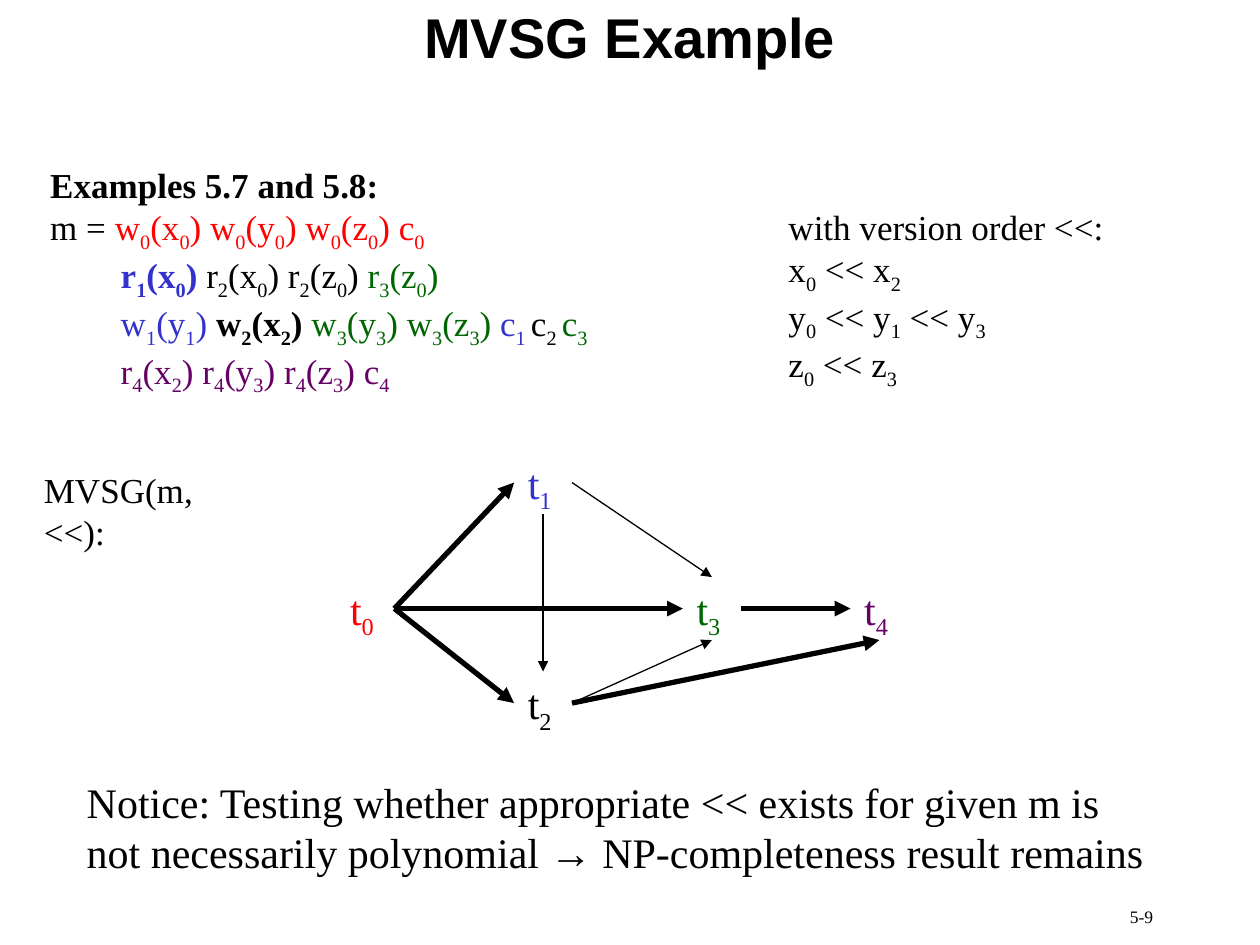
from lxml import etree
from pptx import Presentation
from pptx.dml.color import RGBColor
from pptx.enum import shapes, text
from pptx.oxml import ns
from pptx.util import Inches, Pt

BLACK = RGBColor(0x00, 0x00, 0x00)
WHITE = RGBColor(0xFF, 0xFF, 0xFF)
RED = RGBColor(0xFF, 0x00, 0x00)
BLUE = RGBColor(0x33, 0x33, 0xCC)
GREEN = RGBColor(0x00, 0x66, 0x00)
PURPLE = RGBColor(0x66, 0x00, 0x66)
SERIF, SANS = "Times New Roman", "Arial"

# Each line is a list of (text, colour, bold); "_" lowers the next character
SCHEDULE_HEAD = [
    [("Examples 5.7 and 5.8:", BLACK, True)],
    [("m = ", BLACK, False), ("w_0(x_0) w_0(y_0) w_0(z_0) c_0", RED, False)],
]
SCHEDULE_STEPS = [
    [("r_1(x_0)", BLUE, True), (" r_2(x_0) r_2(z_0) ", BLACK, False),
     ("r_3(z_0)", GREEN, False)],
    [("w_1(y_1) ", BLUE, False), ("w_2(x_2) ", BLACK, True),
     ("w_3(y_3) w_3(z_3) ", GREEN, False), ("c_1_ ", BLUE, False),
     ("c_2_ ", BLACK, False), ("c_3", GREEN, False)],
    [("r_4(x_2) r_4(y_3) r_4(z_3) c_4", PURPLE, False)],
]
VERSION_ORDER = ["with version order <<:", "x_0 << x_2",
                 "y_0 << y_1 << y_3", "z_0 << z_3"]

# Node: (left, top, colour), relative to the graph
NODES = {
    "t_0": (0, 1, RED),
    "t_1": (1.41, 0, BLUE),
    "t_2": (1.41, 1.75, BLACK),
    "t_3": (2.75, 1, GREEN),
    "t_4": (4.08, 1, PURPLE),
}
# Side of a node where an edge docks, relative to the node
DOCKS = {"left": (-0.01, 0.25), "right": (0.45, 0.25),
         "top": (0.22, 0), "bottom": (0.22, 0.5)}
THICK, THIN = 3, 0.75
EDGES = [
    ("t_0", "right", "t_1", "left", THICK),
    ("t_0", "right", "t_2", "left", THICK),
    ("t_0", "right", "t_3", "left", THICK),
    ("t_2", "right", "t_3", "bottom", THIN),
    ("t_1", "right", "t_3", "top", THIN),
    ("t_1", "bottom", "t_2", "top", THIN),
    ("t_2", "right", "t_4", "bottom", THICK),
    ("t_3", "right", "t_4", "left", THICK),
]


def add_run(p, content, size=20, color=BLACK, bold=False, font=SERIF,
            lowered=False):
    r = p.add_run()
    r.text = content
    r.font.size, r.font.name, r.font.bold = Pt(size), font, bold
    r.font.color.rgb = color
    if lowered:
        r._r.get_or_add_rPr().set("baseline", "-25000")


def add_formula(p, content, **style):
    first, *rest = content.split("_")
    if first:
        add_run(p, first, **style)
    for piece in rest:
        add_run(p, piece[0], lowered=True, **style)
        if piece[1:]:
            add_run(p, piece[1:], **style)


def add_text(slide, box, lines, size=20, wrap=False, align=None):
    """Add a text box and return its paragraphs."""
    tf = slide.shapes.add_textbox(*map(Inches, box)).text_frame
    tf.word_wrap = wrap
    tf.auto_size = text.MSO_AUTO_SIZE.SHAPE_TO_FIT_TEXT
    for i, line in enumerate(lines):
        p = tf.add_paragraph() if i else tf.paragraphs[0]
        p.alignment = align
        for content, color, bold in line:
            add_formula(p, content, size=size, color=color, bold=bold)
    return tf.paragraphs


def add_title(slide, box, content):
    sp = slide.shapes.title
    sp.left, sp.top, sp.width, sp.height = map(Inches, box)
    tf = sp.text_frame
    tf.vertical_anchor = text.MSO_ANCHOR.MIDDLE
    tf.auto_size = text.MSO_AUTO_SIZE.NONE
    p = tf.paragraphs[0]
    p.alignment = text.PP_ALIGN.CENTER
    add_run(p, content, size=32, bold=True, font=SANS)


def add_schedule(slide, box):
    paragraphs = add_text(slide, box, SCHEDULE_HEAD + SCHEDULE_STEPS)
    for p in paragraphs[len(SCHEDULE_HEAD):]:
        p._p.get_or_add_pPr().set("marL", str(Inches(0.56)))


def add_arrow(slide, start, end, weight):
    line = slide.shapes.add_connector(
        shapes.MSO_CONNECTOR.STRAIGHT, *map(Inches, start + end))
    line.line.color.rgb = BLACK
    line.line.width = Pt(weight)
    etree.SubElement(line.line._get_or_add_ln(), ns.qn("a:tailEnd"),
                     type="triangle")
    etree.SubElement(line._element.spPr, ns.qn("a:effectLst"))


def add_graph(slide, left, top):
    def dock(node, side):
        x, y, _ = NODES[node]
        dx, dy = DOCKS[side]
        return left + x + dx, top + y + dy

    for name, (x, y, color) in NODES.items():
        add_text(slide, (left + x, top + y, 0.39, 0.56),
                 [[(name, color, False)]], size=24)
    for source, out_side, target, in_side, weight in EDGES:
        add_arrow(slide, dock(source, out_side), dock(target, in_side), weight)


def add_notice(slide, box):
    p = add_text(slide, box, [[
        ("Notice: Testing whether appropriate << exists for given m is "
         "not necessarily polynomial ", BLACK, False)]], size=24, wrap=True)[0]
    add_run(p, "→", size=24, font=SANS)
    add_run(p, " NP-completeness result remains", size=24)


def main():
    prs = Presentation()
    prs.slide_width, prs.slide_height = Inches(10), Inches(7.5)
    slide = prs.slides.add_slide(prs.slide_layouts[5])
    slide.background.fill.solid()
    slide.background.fill.fore_color.rgb = WHITE

    # Title and page number
    add_title(slide, (0, 0, 10, 0.58), "MVSG Example")
    add_text(slide, (7.17, 7.14, 2.08, 0.36), [[("5-9", BLACK, False)]],
             size=10, wrap=True, align=text.PP_ALIGN.RIGHT)

    # Schedule and version order
    add_schedule(slide, (0.3, 1.25, 4.52, 1.95))
    add_text(slide, (6.16, 1.58, 2.7, 1.57),
             [[(line, BLACK, False)] for line in VERSION_ORDER])

    # Serialization graph
    add_text(slide, (0.25, 3.67, 1.93, 0.44),
             [[("MVSG(m, <<):", BLACK, False)]])
    add_graph(slide, 2.68, 3.58)

    # Closing remark
    add_notice(slide, (0.59, 6.11, 8.66, 0.9))
    prs.save("out.pptx")


if __name__ == "__main__":
    main()
